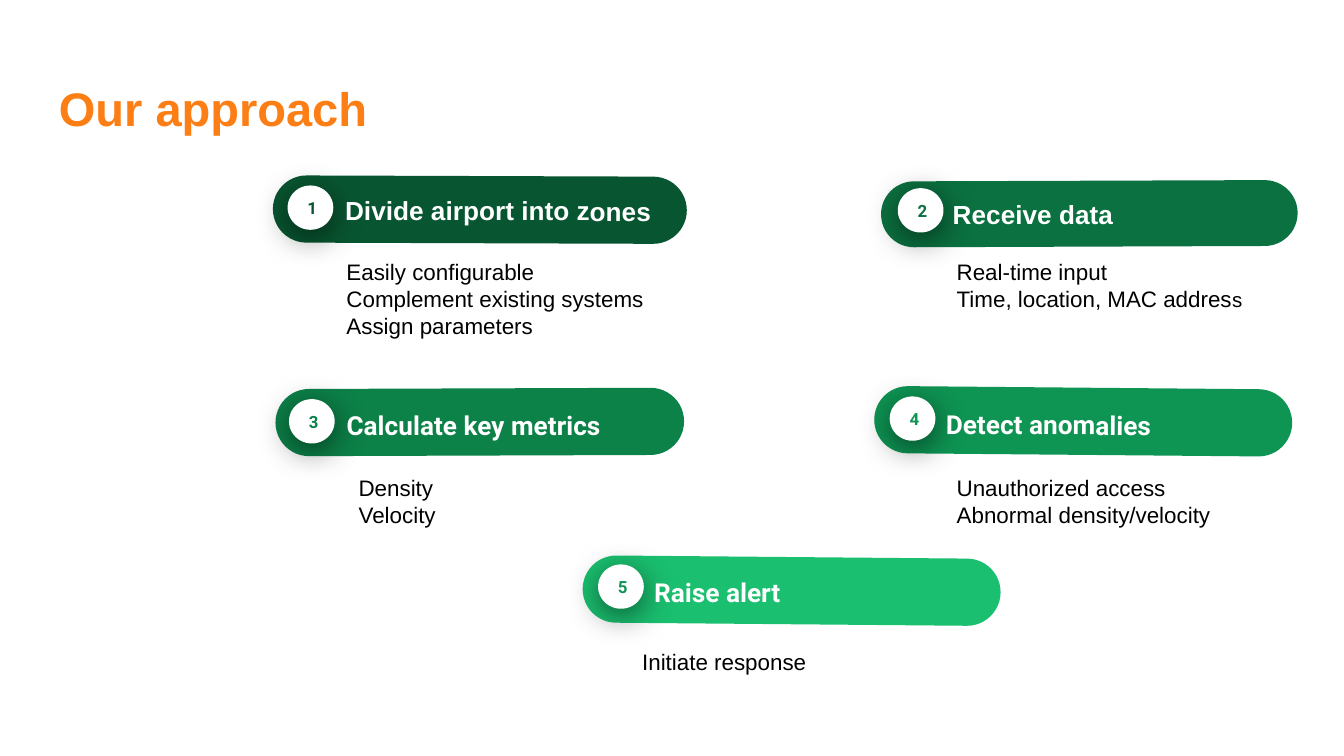
from lxml import etree
from pptx import Presentation
from pptx.dml.color import RGBColor
from pptx.enum import shapes, text
from pptx.oxml.ns import qn
from pptx.util import Inches, Pt

STEPS = [
    ("4", "Detect anomalies", "Roboto", "0E9453", "0E9453", 0.5,
     (7.81, 1.58, 0.5, 3.11), (6.62, 2.95), (6.94, 2.97, 2.47, 0.35),
     (7.02, 3.43), ["Unauthorized access", "Abnormal density/velocity"]),
    ("3", "Calculate key metrics", "Roboto", "0C8148", "0C8148", -0.2,
     (3.32, 1.62, 0.5, 3.04), (2.15, 2.97), (2.48, 2.97, 2.4, 0.35),
     (2.57, 3.43), ["Density", "Velocity"]),
    ("2", "Receive data", "Arial", "0B7140", "0B7140", -0.2,
     (7.86, 0.04, 0.49, 3.1), (6.68, 1.4), (6.99, 1.42, 2.46, 0.34),
     (7.02, 1.82), ["Real-time input", "Time, location, MAC addres"]),
    ("1", "Divide airport into zones", "Arial", "085631", "085631", 0.2,
     (3.32, 0.02, 0.5, 3.08), (2.14, 1.38), (2.47, 1.39, 2.62, 0.35),
     (2.48, 1.82), ["Easily configurable", "Complement existing systems",
                    "Assign parameters"]),
    ("5", "Raise alert", "Roboto", "1ABF6F", "0E9453", 0.5,
     (5.64, 2.84, 0.5, 3.11), (4.45, 4.2), (4.77, 4.22, 2.47, 0.35),
     (4.68, 4.72), ["Initiate response"]),
]


def color(value):
    return RGBColor.from_string(value)


def write(sp, lines, size, font, fill, bold=True, anchor=text.MSO_ANCHOR.MIDDLE):
    tf = sp.text_frame
    tf.text = "\n".join(lines)
    tf.word_wrap = True
    tf.vertical_anchor = anchor
    tf.margin_left = tf.margin_right = Inches(0.1)
    tf.margin_top = tf.margin_bottom = Inches(0.1)
    for p in tf.paragraphs:
        p.alignment = text.PP_ALIGN.LEFT
        for r in p.runs:
            style(r, size, font, fill, bold)
    return tf


def style(r, size, font, fill, bold):
    r.font.size = Pt(size)
    r.font.name = font
    r.font.bold = bold
    r.font.color.rgb = color(fill)


def add_text(s, box, lines, *look, **options):
    sp = s.shapes.add_textbox(*map(Inches, box))
    return sp, write(sp, lines, *look, **options)


def add_shape(s, kind, box, fill, rotation):
    sp = s.shapes.add_shape(kind, *map(Inches, box))
    sp.shadow.inherit = False
    sp.fill.solid()
    sp.fill.fore_color.rgb = color(fill)
    sp.line.fill.background()
    sp.rotation = rotation
    return sp


def add_shadow(sp):
    effects = sp._element.spPr.find(qn("a:effectLst"))
    shadow = etree.SubElement(effects, qn("a:outerShdw"), blurRad=str(Pt(18)),
                              dist=str(Pt(4)), dir="5400000",
                              algn="bl", rotWithShape="0")
    clr = etree.SubElement(shadow, qn("a:srgbClr"), val="000000")
    etree.SubElement(clr, qn("a:alpha"), val="55000")


def add_bar(s, box, fill, tilt):
    sp = add_shape(s, shapes.MSO_SHAPE.ROUNDED_RECTANGLE, box, fill, 90 + tilt)
    sp.adjustments[0] = 0.5


def add_badge(s, place, number, fill, tilt):
    sp = add_shape(s, shapes.MSO_SHAPE.OVAL, (*place, 0.34, 0.33), "FFFFFF", tilt)
    add_shadow(sp)
    write(sp, [number], 9, "Roboto", fill)


def add_heading(s, box, heading, font, tilt):
    sp, tf = add_text(s, box, [heading], 14, font, "FFFFFF")
    sp.rotation = tilt
    if font == "Roboto":
        tf.paragraphs[0].line_spacing = 1.15


def add_details(s, place, lines):
    box = (*place, 2.43, 0.2 + 0.2 * len(lines))
    return add_text(s, box, lines, 12, "Arial", "000000", bold=False,
                    anchor=text.MSO_ANCHOR.TOP)[1]


def main():
    prs = Presentation()
    prs.slide_width = Inches(10)
    prs.slide_height = Inches(10 * 9 / 16)
    s = prs.slides.add_slide(prs.slide_layouts[6])
    add_text(s, (0.34, 0.49, 9.32, 0.63), ["Our approach"], 25.2, "Arial",
             "FD7E14", anchor=text.MSO_ANCHOR.TOP)
    for number, heading, font, fill, ink, tilt, bar, badge, label, place, lines in STEPS:
        add_bar(s, bar, fill, tilt)
        add_badge(s, badge, number, ink, tilt)
        add_heading(s, label, heading, font, tilt)
        tf = add_details(s, place, lines)
        if number == "2":
            r = tf.paragraphs[-1].add_run()
            r.text = "s"
            style(r, 11, "Arial", "000000", False)
    prs.save("out.pptx")


if __name__ == "__main__":
    main()
